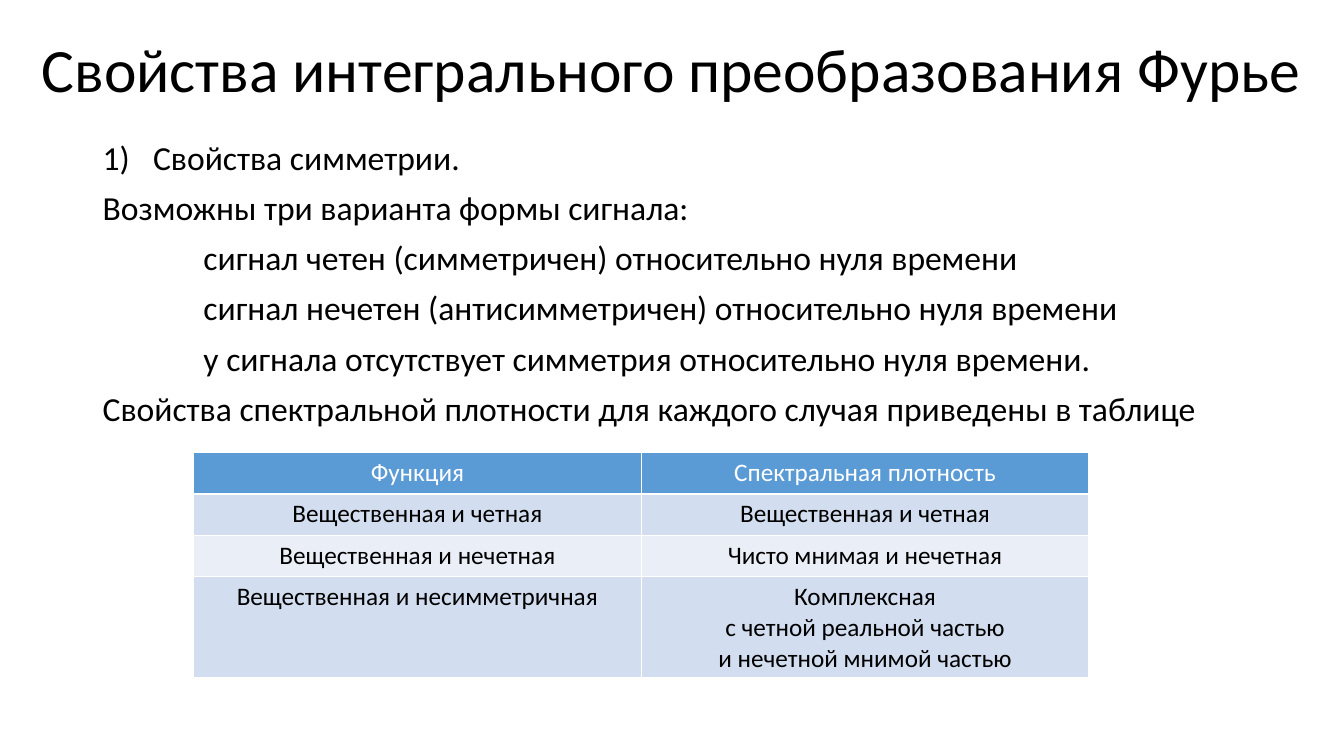
"""Build a slide on the symmetry properties of the Fourier integral transform."""
from dataclasses import dataclass

from lxml import etree
from pptx import Presentation
from pptx.dml.color import RGBColor
from pptx.enum import text
from pptx.oxml import ns
from pptx.util import Inches, Pt


@dataclass(frozen=True)
class Theme:
    font: str = "Calibri"
    title_size: int = 44
    body_size: int = 24
    table_size: int = 18
    ink: str = "000000"
    header_ink: str = "FFFFFF"
    header_fill: str = "5B9BD5"
    band_fills: tuple[str, str] = ("D2DEEF", "EAEFF7")


@dataclass(frozen=True)
class Line:
    words: str
    indent: float = 0
    numbered: bool = False


THEME = Theme()
TITLE = "Свойства интегрального преобразования Фурье"
BODY = [
    Line("Свойства симметрии.", indent=0.5, numbered=True),
    Line("Возможны три варианта формы сигнала:"),
    Line("сигнал четен (симметричен) относительно нуля времени", indent=1),
    Line("сигнал нечетен (антисимметричен) относительно нуля времени", indent=1),
    Line("у сигнала отсутствует симметрия относительно нуля времени.", indent=1),
    Line("Свойства спектральной плотности для каждого случая приведены в таблице"),
]
TABLE = [
    ("Функция", "Спектральная плотность"),
    ("Вещественная и четная", "Вещественная и четная"),
    ("Вещественная и нечетная", "Чисто мнимая и нечетная"),
    ("Вещественная и несимметричная",
     "Комплексная\nс четной реальной частью\nи нечетной мнимой частью"),
]
ROW_HEIGHTS = (0.41, 0.41, 0.41, 1.0)


def set_font(para, size: int, colour: str) -> None:
    para.font.name = THEME.font
    para.font.size = Pt(size)
    para.font.bold = False
    para.font.color.rgb = RGBColor.from_string(colour)


def add_box(page, left: float, top: float, width: float, height: float):
    box = page.shapes.add_textbox(Inches(left), Inches(top), Inches(width), Inches(height))
    box.text_frame.word_wrap = True
    return box.text_frame


def add_title(page) -> None:
    frame = add_box(page, 0, -0.01, 13.33, 1.45)
    frame.vertical_anchor = text.MSO_ANCHOR.MIDDLE
    para = frame.paragraphs[0]
    para.text = TITLE
    para.alignment = text.PP_ALIGN.CENTER
    para.line_spacing = 0.9
    set_font(para, THEME.title_size, THEME.ink)


def indent_paragraph(para, line: Line) -> None:
    properties = para._p.get_or_add_pPr()
    properties.set("marL", str(Inches(line.indent)))
    if line.numbered:
        properties.set("indent", str(-Inches(line.indent)))
        etree.SubElement(properties, ns.qn("a:buAutoNum"), type="arabicParenR")


def add_body(page, lines: list[Line]) -> None:
    frame = add_box(page, 0.92, 1.35, 12.23, 3.1)
    for index, line in enumerate(lines):
        para = frame.add_paragraph() if index else frame.paragraphs[0]
        para.text = line.words
        indent_paragraph(para, line)
        para.line_spacing = 0.9
        para.space_before = Pt(10 if index else 0)
        set_font(para, THEME.body_size, THEME.ink)


def fill_cell(cell, words: str, fill: str, ink: str) -> None:
    cell.text = words
    cell.fill.solid()
    cell.fill.fore_color.rgb = RGBColor.from_string(fill)
    for para in cell.text_frame.paragraphs:
        para.alignment = text.PP_ALIGN.CENTER
        set_font(para, THEME.table_size, ink)


def add_properties_table(page, rows: list[tuple[str, str]]) -> None:
    table = page.shapes.add_table(len(rows), len(rows[0]), Inches(1.92), Inches(4.49),
                                  Inches(8.88), Inches(sum(ROW_HEIGHTS))).table
    for index, (row, height) in enumerate(zip(rows, ROW_HEIGHTS)):
        table.rows[index].height = Inches(height)
        fill = THEME.band_fills[(index - 1) % 2] if index else THEME.header_fill
        ink = THEME.ink if index else THEME.header_ink
        for column, words in enumerate(row):
            fill_cell(table.cell(index, column), words, fill, ink)


def main() -> None:
    deck = Presentation()
    deck.slide_width, deck.slide_height = Inches(13.33), Inches(7.5)
    page = deck.slides.add_slide(deck.slide_layouts[6])
    add_title(page)
    add_body(page, BODY)
    add_properties_table(page, TABLE)
    deck.save("out.pptx")


if __name__ == "__main__":
    main()
